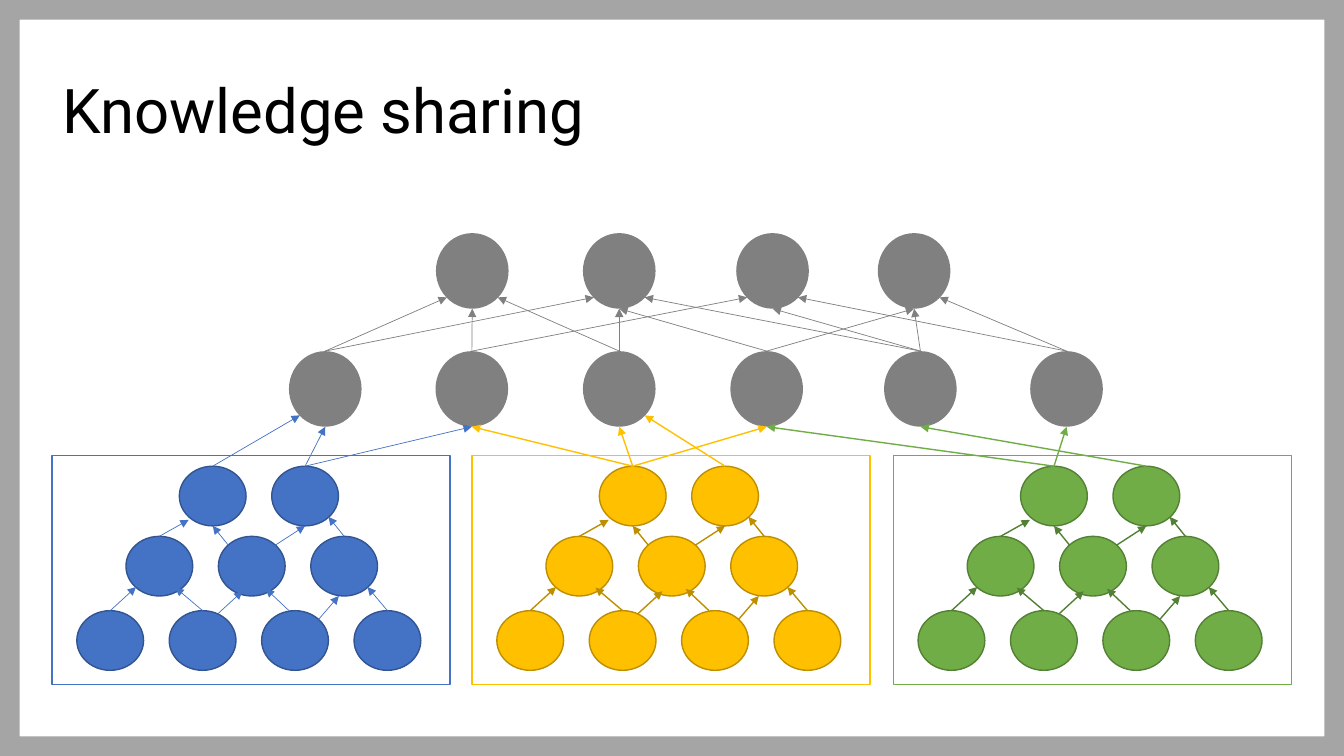
from lxml import etree
from pptx import Presentation
from pptx.dml.color import RGBColor
from pptx.enum.shapes import MSO_CONNECTOR, MSO_SHAPE
from pptx.enum.text import MSO_ANCHOR
from pptx.oxml.ns import qn
from pptx.util import Inches, Pt

STRAIGHT = MSO_CONNECTOR.STRAIGHT
ELLIPSE, RECTANGLE, FRAME = MSO_SHAPE.OVAL, MSO_SHAPE.RECTANGLE, MSO_SHAPE.FRAME
MIDDLE = MSO_ANCHOR.MIDDLE

COLUMNS, ROWS = 160, 90
GRAY, FRAME_GRAY, WHITE, BLACK = "808080", "A5A5A5", "FFFFFF", "000000"

# Points on a node, as shares of its width and height
TOP, BOTTOM = (0.5, 0), (0.5, 1)
UPPER_LEFT, UPPER_RIGHT = (0.15, 0.15), (0.85, 0.15)
LOWER_LEFT, LOWER_RIGHT = (0.15, 0.85), (0.85, 0.85)

# Expert networks: left column, fill, outline, inner arrow colour, inner and outer arrow width
EXPERTS = [
    (6.2, "4472C4", "325491", "4472C4", 0.5),
    (56.2, "FFC000", "BD8E00", "BD8E00", 1),
    (106.35, "70AD47", "538035", "538035", 1),
]
EXPERT_NODE_SIZE = (7.95, 7.1)
EXPERT_PITCH = 11
# Layers from the bottom: node count, offset from the box, top row
EXPERT_LAYERS = [(4, 2.95, 72.7), (3, 8.8, 63.85), (2, 15.15, 55.5)]
# Source layer and node, point on it, node in the next layer, point on it
EXPERT_ARROWS = [
    (0, 0, TOP, 0, LOWER_LEFT),
    (0, 1, TOP, 0, (0.74, 0.86)),
    (0, 1, (0.73, 0.05), 1, (0.36, 0.92)),
    (0, 2, (0.41, 0), 1, (0.71, 0.88)),
    (0, 2, UPPER_RIGHT, 2, (0.42, 1)),
    (0, 3, TOP, 2, LOWER_RIGHT),
    (1, 0, TOP, 0, (0.14, 0.9)),
    (1, 1, UPPER_LEFT, 0, BOTTOM),
    (1, 1, UPPER_RIGHT, 1, BOTTOM),
    (1, 2, TOP, 1, LOWER_RIGHT),
]

SHARED_NODE_SIZE = (8.65, 9)
SHARED_LOWER = (41.8, [34.4, 51.85, 69.4, 86.95, 105.25, 122.65])
SHARED_UPPER = (27.75, [51.9, 69.4, 87.65, 104.5])
# Lower node, upper node, point on the upper node
SHARED_ARROWS = [
    (0, 0, LOWER_LEFT), (0, 1, LOWER_LEFT),
    (1, 0, BOTTOM), (1, 2, LOWER_LEFT),
    (2, 0, LOWER_RIGHT), (2, 1, BOTTOM),
    (3, 1, BOTTOM), (3, 3, BOTTOM),
    (4, 2, BOTTOM), (4, 1, LOWER_RIGHT), (4, 3, BOTTOM),
    (5, 3, LOWER_RIGHT), (5, 2, LOWER_RIGHT),
]
# Expert, node in its top layer, lower shared node, point on it
EXPERT_TO_SHARED = [
    (0, 0, 0, LOWER_LEFT), (0, 1, 0, BOTTOM), (0, 1, 1, BOTTOM),
    (1, 0, 1, BOTTOM), (1, 0, 3, BOTTOM), (1, 0, 2, BOTTOM), (1, 1, 2, LOWER_RIGHT),
    (2, 0, 3, BOTTOM), (2, 0, 5, BOTTOM), (2, 1, 4, BOTTOM),
]


def color(hex_string):
    return RGBColor.from_string(hex_string)


def write(paragraph, text, *, size, font, fill):
    run = paragraph.add_run()
    run.text = text
    run.font.size = Pt(size)
    run.font.name = font
    run.font.color.rgb = color(fill)


def point_on(shape, share):
    """Return the slide position of a point given as shares of a shape."""
    return (round(shape.left + share[0] * shape.width),
            round(shape.top + share[1] * shape.height))


class Diagram:
    """Draws on one slide, with lengths in grid columns and rows."""

    font = "Roboto"
    title_size = 44

    def __init__(self, presentation):
        self.slide = presentation.slides.add_slide(presentation.slide_layouts[6])
        self.column = presentation.slide_width / COLUMNS
        self.row = presentation.slide_height / ROWS

    def place(self, left, top, width, height):
        return (round(left * self.column), round(top * self.row),
                round(width * self.column), round(height * self.row))

    def shape(self, kind, area, fill, outline=None):
        shape = self.slide.shapes.add_shape(kind, *self.place(*area))
        shape.shadow.inherit = False
        shape.fill.solid()
        shape.fill.fore_color.rgb = color(fill)
        if outline:
            shape.line.color.rgb = color(outline)
            shape.line.width = Pt(1)
        else:
            shape.line.fill.background()
        return shape

    def title(self, text, area):
        frame = self.slide.shapes.add_textbox(*self.place(*area)).text_frame
        frame.word_wrap = True
        frame.vertical_anchor = MIDDLE
        paragraph = frame.paragraphs[0]
        paragraph.line_spacing = 0.9
        write(paragraph, text, size=self.title_size, font=self.font, fill=BLACK)

    def nodes(self, lefts, top, size, fill, outline=None):
        return [self.shape(ELLIPSE, (left, top, *size), fill, outline) for left in lefts]

    def arrow(self, source, start, target, end, stroke, width):
        connector = self.slide.shapes.add_connector(
            STRAIGHT, *point_on(source, start), *point_on(target, end))
        connector.line.color.rgb = color(stroke)
        connector.line.width = Pt(width)
        line = connector.line._get_or_add_ln()
        etree.SubElement(line, qn("a:tailEnd"), type="triangle")
        etree.SubElement(connector._element.spPr, qn("a:effectLst"))

    def expert(self, left, fill, outline, stroke, width):
        """Draw a boxed network and return its top layer."""
        self.shape(RECTANGLE, (left, 54.25, 47.4, 27.25), WHITE, fill)
        layers = [
            self.nodes([left + offset + i * EXPERT_PITCH for i in range(count)],
                       top, EXPERT_NODE_SIZE, fill, outline)
            for count, offset, top in EXPERT_LAYERS
        ]
        for layer, source, start, target, end in EXPERT_ARROWS:
            self.arrow(layers[layer][source], start, layers[layer + 1][target], end,
                       stroke, width)
        return layers[-1]


def main():
    presentation = Presentation()
    presentation.slide_width = Inches(13.33)
    presentation.slide_height = Inches(7.5)
    diagram = Diagram(presentation)

    border = diagram.shape(FRAME, (0, 0, COLUMNS, ROWS), FRAME_GRAY)
    border.adjustments[0] = 0.026
    diagram.title("Knowledge sharing", (6.25, 4.8, 138, 17.4))

    expert_tops = [diagram.expert(*expert) for expert in EXPERTS]
    lower, upper = [
        diagram.nodes(lefts, top, SHARED_NODE_SIZE, GRAY)
        for top, lefts in (SHARED_LOWER, SHARED_UPPER)
    ]
    for source, target, end in SHARED_ARROWS:
        diagram.arrow(lower[source], TOP, upper[target], end, GRAY, 0.5)
    for expert, source, target, end in EXPERT_TO_SHARED:
        _, fill, _, _, width = EXPERTS[expert]
        diagram.arrow(expert_tops[expert][source], TOP, lower[target], end, fill, width)

    presentation.save("out.pptx")


if __name__ == "__main__":
    main()
